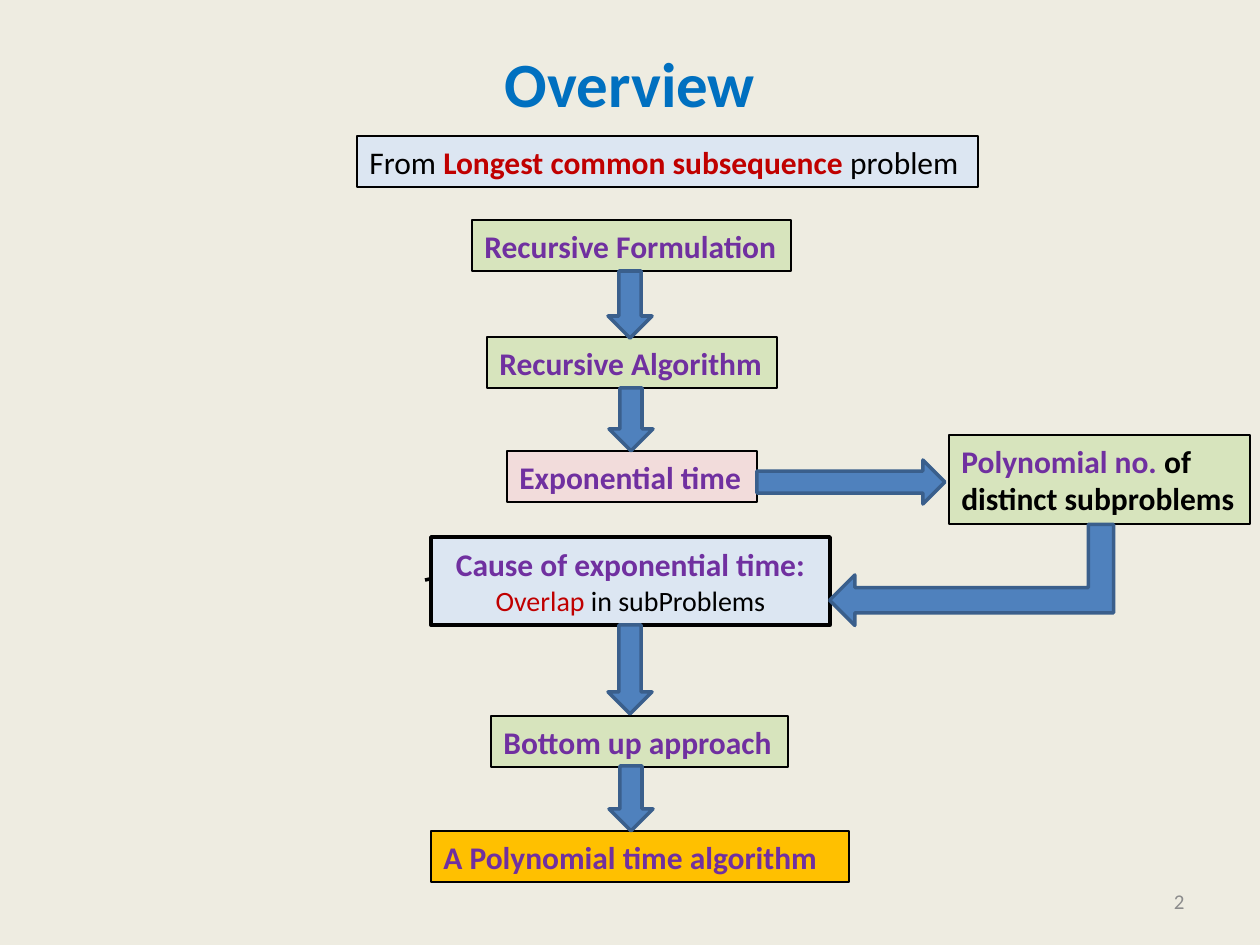
from dataclasses import dataclass

import pptx
import pptx.dml.color
import pptx.enum.shapes
import pptx.enum.text
import pptx.util

SCALE = 914400 / 126
SHAPE = pptx.enum.shapes.MSO_SHAPE
ALIGN = pptx.enum.text.PP_ALIGN
ANCHOR = pptx.enum.text.MSO_ANCHOR
FIT = pptx.enum.text.MSO_AUTO_SIZE

HUES = {
    "paper": "EEECE1", "title": "0070C0", "number": "8C8C8C",
    "black": "000000", "purple": "7030A0", "red": "C00000",
    "green": "D7E4BD", "pink": "F2DCDB", "pale": "DCE6F2",
    "gold": "FFC000", "blue": "4F81BD", "edge": "3A5F8C",
}


@dataclass(frozen=True)
class Run:
    text: str
    hue: str = "purple"
    bold: bool = True
    size: int = 18


@dataclass(frozen=True)
class Box:
    left: int
    top: int
    width: int
    height: int
    fill: str
    lines: tuple[tuple[Run, ...], ...]
    kind: SHAPE = SHAPE.RECTANGLE
    weight: float = 0.75
    align: ALIGN = ALIGN.LEFT
    bends: tuple[float, ...] = ()


@dataclass(frozen=True)
class Arrow:
    left: int
    top: int
    width: int
    height: int
    kind: SHAPE = SHAPE.DOWN_ARROW
    turn: int = 0
    flip: bool = False


BOXES = (
    Box(472, 220, 319, 51, "green", ((Run("Recursive Formulation"),),)),
    Box(487, 337, 290, 51, "green", ((Run("Recursive Algorithm"),),)),
    Box(507, 451, 250, 51, "pink", ((Run("Exponential time"),),)),
    Box(949, 435, 301, 89, "green", (
        (Run("Polynomial no. "), Run("of", "black")),
        (Run("distinct subproblems", "black"),),
    )),
    Box(431, 537, 399, 88, "pale", (
        (Run("Cause of exponential time:"),),
        (Run("Overlap ", "red", False, 16),
         Run("in subProblems", "black", False, 16)),
    ), SHAPE.LINE_CALLOUT_2, 2, ALIGN.CENTER,
        (0.49, -0.015, 0.475, 0, 0.5, 0)),
    Box(491, 716, 297, 51, "green", ((Run("Bottom up approach"),),)),
    Box(431, 831, 418, 51, "gold", ((Run("A Polynomial time algorithm"),),)),
    Box(357, 136, 621, 51, "pale", ((
        Run("From ", "black", False),
        Run("Longest common subsequence ", "red"),
        Run("problem", "black", False),
    ),)),
)

ARROWS = (
    Arrow(608, 271, 44, 67),
    Arrow(609, 388, 44, 63),
    Arrow(829, 388, 44, 188, turn=270),
    Arrow(608, 625, 44, 89),
    Arrow(609, 766, 44, 65),
    Arrow(921, 433, 101, 284, SHAPE.BENT_UP_ARROW, 270, True),
)


def px(count: int) -> int:
    return round(count * SCALE)


def tint(name: str) -> pptx.dml.color.RGBColor:
    return pptx.dml.color.RGBColor.from_string(HUES[name])


def format_with(target, values: dict) -> None:
    for name, value in values.items():
        setattr(target, name, value)


def write(line, runs: tuple[Run, ...], align: ALIGN) -> None:
    line.alignment = align
    for item in runs:
        run = line.add_run()
        run.text = item.text
        format_with(run.font, {
            "name": "Calibri", "size": pptx.util.Pt(item.size),
            "bold": item.bold,
        })
        run.font.color.rgb = tint(item.hue)


def add_shape(slide, part: Box | Arrow, fill: str, edge: str, weight: float):
    shape = slide.shapes.add_shape(
        part.kind, px(part.left), px(part.top), px(part.width), px(part.height))
    shape.shadow.inherit = False
    shape.fill.solid()
    shape.fill.fore_color.rgb = tint(fill)
    shape.line.color.rgb = tint(edge)
    shape.line.width = pptx.util.Pt(weight)
    return shape


def draw_box(slide, box: Box) -> None:
    shape = add_shape(slide, box, box.fill, "black", box.weight)
    for index, bend in enumerate(box.bends):
        shape.adjustments[index] = bend
    frame = shape.text_frame
    format_with(frame, {"word_wrap": True, "vertical_anchor": ANCHOR.MIDDLE})
    if box.align == ALIGN.LEFT:
        frame.margin_right = 0
    for index, runs in enumerate(box.lines):
        line = frame.add_paragraph() if index else frame.paragraphs[0]
        write(line, runs, box.align)


def draw_arrow(slide, arrow: Arrow) -> None:
    shape = add_shape(slide, arrow, "blue", "edge", 2)
    shape.rotation = arrow.turn
    if arrow.flip:
        shape._element.spPr.xfrm.set("flipH", "1")


def set_title(slide) -> None:
    title = slide.shapes.title
    format_with(title, {
        "left": px(63), "top": px(38), "width": px(1134), "height": px(157),
    })
    frame = title.text_frame
    format_with(frame, {
        "vertical_anchor": ANCHOR.TOP, "auto_size": FIT.NONE,
        "word_wrap": True,
    })
    write(frame.paragraphs[0], (Run("Overview", "title", True, 36),),
          ALIGN.CENTER)


def add_number(slide) -> None:
    frame = slide.shapes.add_textbox(
        px(903), px(876), px(294), px(50)).text_frame
    format_with(frame, {"vertical_anchor": ANCHOR.MIDDLE, "word_wrap": True})
    write(frame.paragraphs[0], (Run("2", "number", False, 12),), ALIGN.RIGHT)


def main() -> None:
    deck = pptx.Presentation()
    format_with(deck, {"slide_width": px(1260), "slide_height": px(945)})
    slide = deck.slides.add_slide(deck.slide_layouts[5])
    slide.background.fill.solid()
    slide.background.fill.fore_color.rgb = tint("paper")
    set_title(slide)
    add_number(slide)
    for box in BOXES:
        draw_box(slide, box)
    for arrow in ARROWS:
        draw_arrow(slide, arrow)
    deck.save("out.pptx")


if __name__ == "__main__":
    main()
